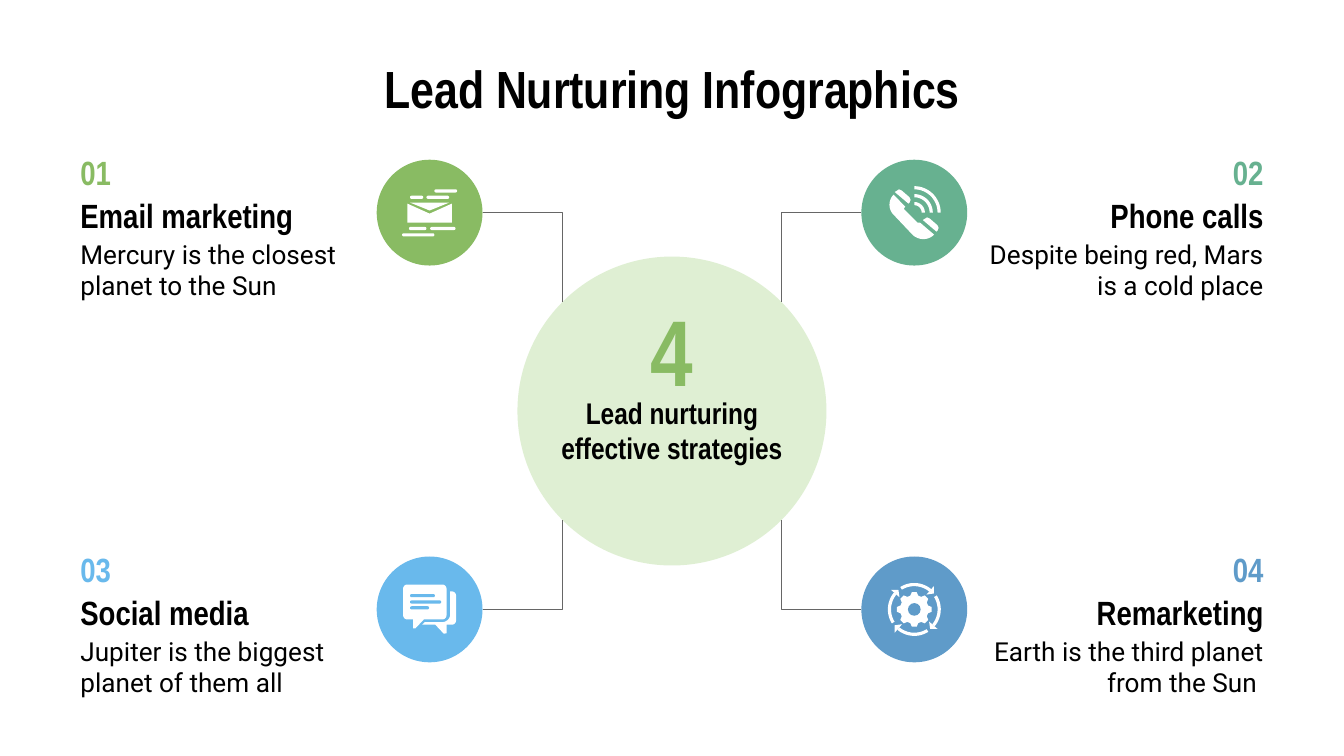
from dataclasses import dataclass
from math import cos, radians, sin

from lxml import etree
from pptx import Presentation
from pptx.dml.color import RGBColor
from pptx.enum.shapes import MSO_CONNECTOR as Conn, MSO_SHAPE as Shape
from pptx.enum.text import MSO_ANCHOR as Anchor, PP_ALIGN as Align
from pptx.oxml.ns import qn
from pptx.util import Cm, Pt

COLORS = {
    "black": "000000", "white": "FFFFFF", "line": "666666", "hub": "82C352",
    "green": "89BB63", "teal": "67B190", "sky": "69B9EC", "blue": "5F9BC9",
}
HEAD, BODY = "Arial Narrow", "Roboto"
MID_X, MID_Y = 12.7, 7.77
ICON_DX, ICON_DY = 4.58, 3.75
ICON_D, HUB_D = 2.0, 5.84
MARGIN, TEXT_W, NUMBER_W = 1.27, 5.84, 1.3
STROKE = 0.06

Point = tuple[float, float]


@dataclass
class Strategy:
    number: str
    title: str
    body: str
    color: str
    side: int  # -1 left, 1 right
    row: int  # -1 top, 1 bottom
    title_w: float

    @property
    def center(self) -> Point:
        return MID_X + self.side * ICON_DX, MID_Y + self.row * ICON_DY


STRATEGIES = [
    Strategy("01", "Email marketing", "Mercury is the closest planet to the Sun", "green", -1, -1, TEXT_W),
    Strategy("02", "Phone calls", "Despite being red, Mars is a cold place", "teal", 1, -1, 4.98),
    Strategy("03", "Social media", "Jupiter is the biggest planet of them all", "sky", -1, 1, TEXT_W),
    Strategy("04", "Remarketing", "Earth is the third planet from the Sun ", "blue", 1, 1, 4.98),
]

prs = Presentation()
prs.slide_width, prs.slide_height = Cm(25.4), Cm(14.29)
shapes = prs.slides.add_slide(prs.slide_layouts[6]).shapes


def rgb(color: str) -> RGBColor:
    return RGBColor.from_string(COLORS[color])


def paint(sp, color: str):
    sp.shadow.inherit = False
    sp.fill.solid()
    sp.fill.fore_color.rgb = rgb(color)
    sp.line.fill.background()
    return sp


def add_text(text: str, x: float, y: float, w: float, h: float, size: float,
             color: str = "black", font: str = HEAD, align=Align.CENTER) -> None:
    tf = shapes.add_textbox(Cm(x), Cm(y), Cm(w), Cm(h)).text_frame
    tf.word_wrap = True
    tf.vertical_anchor = Anchor.MIDDLE
    tf.margin_left = tf.margin_right = tf.margin_top = tf.margin_bottom = Cm(0.25)
    tf.text = text
    p = tf.paragraphs[0]
    p.alignment = align
    f = p.runs[0].font
    f.name, f.size, f.bold = font, Pt(size), font == HEAD
    f.color.rgb = rgb(color)


def add_circle(center: Point, d: float, color: str):
    x, y = center
    return paint(shapes.add_shape(Shape.OVAL, Cm(x - d / 2), Cm(y - d / 2), Cm(d), Cm(d)), color)


def add_polygon(center: Point, points: list[Point]) -> None:
    """Fill an outline given relative to an icon's centre."""
    pts = [(Cm(center[0] + x), Cm(center[1] + y)) for x, y in points]
    fb = shapes.build_freeform(*pts[0], scale=1.0)
    fb.add_line_segments(pts[1:], close=True)
    paint(fb.convert_to_shape(), "white")


def add_bars(center: Point, bars: list[tuple[float, float, float]], color: str) -> None:
    for x, y, w in bars:
        sp = shapes.add_shape(Shape.ROUNDED_RECTANGLE, Cm(center[0] + x), Cm(center[1] + y),
                              Cm(w), Cm(STROKE))
        sp.adjustments[0] = 0.5
        paint(sp, color)


def arc(x: float, y: float, r: float, start: float, end: float) -> list[Point]:
    angles = [radians(start + (end - start) * i / 16) for i in range(17)]
    return [(x + r * cos(a), y + r * sin(a)) for a in angles]


def band(r: float, start: float, end: float) -> list[Point]:
    return arc(0, 0, r, start, end) + arc(0, 0, r - STROKE, end, start)


def turn(points: list[Point], angle: float) -> list[Point]:
    c, s = cos(radians(angle)), sin(radians(angle))
    return [(x * c - y * s, x * s + y * c) for x, y in points]


def draw_email(c: Point, color: str) -> None:
    add_polygon(c, [(0.42, -0.17), (0, 0.02), (-0.42, -0.17), (-0.42, 0.19), (0.42, 0.19)])
    add_polygon(c, [(-0.37, -0.19), (0, -0.04), (0.37, -0.19)])
    add_bars(c, [(-0.39, 0.27, 0.33), (0.01, 0.27, 0.48), (-0.06, -0.32, 0.43),
                 (-0.37, -0.32, 0.25), (0.09, -0.44, 0.43), (-0.52, 0.39, 0.61)], "white")


def draw_phone(c: Point, color: str) -> None:
    add_polygon(c, arc(-0.2, -0.15, 0.27, 225, 135) + arc(0.17, 0.21, 0.29, 135, 45)
                + [(0.11, 0.19), (0.06, 0.19), (-0.19, -0.06), (-0.19, -0.09), (-0.17, -0.11)])
    cap = [(-0.32, -0.42), (-0.37, -0.39), (-0.11, -0.17), (-0.09, -0.19),
           (-0.07, -0.24), (-0.09, -0.29), (-0.24, -0.42), (-0.29, -0.44)]
    for shift in (0, 0.53):
        add_polygon(c, [(x + shift, y + shift) for x, y in cap])
    for r in (0.2, 0.35, 0.5):
        add_polygon(c, band(r, -90, 0))


def draw_chat(c: Point, color: str) -> None:
    add_polygon(c, arc(-0.42, -0.39, 0.08, 180, 270) + arc(0.24, -0.39, 0.08, 270, 360)
                + arc(0.24, 0.11, 0.08, 0, 90)
                + [(-0.11, 0.19), (-0.27, 0.36), (-0.31, 0.36), (-0.31, 0.19)]
                + arc(-0.42, 0.11, 0.08, 90, 180))
    add_polygon(c, arc(0.42, -0.26, 0.08, 270, 360) + arc(0.42, 0.21, 0.08, 0, 90)
                + [(0.32, 0.29), (0.32, 0.45), (0.27, 0.46), (0.11, 0.29), (-0.14, 0.29), (-0.09, 0.24)]
                + arc(0.24, 0.09, 0.15, 90, 0) + [(0.39, -0.34)])
    add_bars(c, [(-0.37, -0.29, 0.47), (-0.37, -0.17, 0.59), (-0.37, -0.06, 0.36)], color)


def draw_gear(c: Point, color: str) -> None:
    tooth = [(-16, 0.27), (-8, 0.33), (8, 0.33), (16, 0.27)]
    add_polygon(c, [(r * cos(radians(k + a)), r * sin(radians(k + a)))
                    for k in range(0, 360, 45) for a, r in tooth])
    add_circle(c, 0.24, color)
    for angle in range(0, 360, 90):
        add_polygon(c, turn(band(0.5, -122, -50), angle))
        add_polygon(c, turn([(0.23, -0.28), (0.37, -0.3), (0.37, -0.44)], angle))


def add_elbow(s: Strategy) -> None:
    """Run level from the icon's edge, then straight to the hub's rim."""
    x, y = s.center
    rim = HUB_D / 2 * cos(radians(45))
    cn = shapes.add_connector(Conn.ELBOW, Cm(x - s.side * ICON_D / 2), Cm(y),
                              Cm(MID_X + s.side * rim), Cm(MID_Y + s.row * rim))
    cn.line.color.rgb = rgb("line")
    cn.line.width = Pt(0.75)
    sp_pr = cn._element.spPr
    sp_pr.find(qn("a:prstGeom")).set("prst", "bentConnector2")
    etree.SubElement(sp_pr, qn("a:effectLst"))


def add_strategy_text(s: Strategy) -> None:
    align = Align.LEFT if s.side < 0 else Align.RIGHT
    y = s.center[1]

    def left(w: float) -> float:
        return MARGIN if s.side < 0 else 25.4 - MARGIN - w

    add_text(s.title, left(s.title_w), y - 0.37, s.title_w, 0.84, 18, align=align)
    add_text(s.body, left(TEXT_W), y + 0.5, TEXT_W, 1.16, 14, font=BODY, align=align)
    add_text(s.number, left(NUMBER_W), y - 1.19, NUMBER_W, 0.84, 18, s.color, align=align)


# Hub and title
hub = add_circle((MID_X, MID_Y), HUB_D, "hub")
tint = hub._element.spPr.find(qn("a:solidFill"))[0]
etree.SubElement(tint, qn("a:alpha")).set("val", "25000")
add_text("Lead Nurturing Infographics", MARGIN, 1.14, 22.86, 1.04, 28)
add_text("Lead nurturing effective strategies", 10.08, 7.37, 5.24, 1.52, 16)
add_text("4", 11.59, 5.84, 2.22, 1.52, 50, "green")

# Strategies
for s, draw_icon in zip(STRATEGIES, (draw_email, draw_phone, draw_chat, draw_gear)):
    add_strategy_text(s)
    add_circle(s.center, ICON_D, s.color)
    add_elbow(s)
    draw_icon(s.center, s.color)

prs.save("out.pptx")
